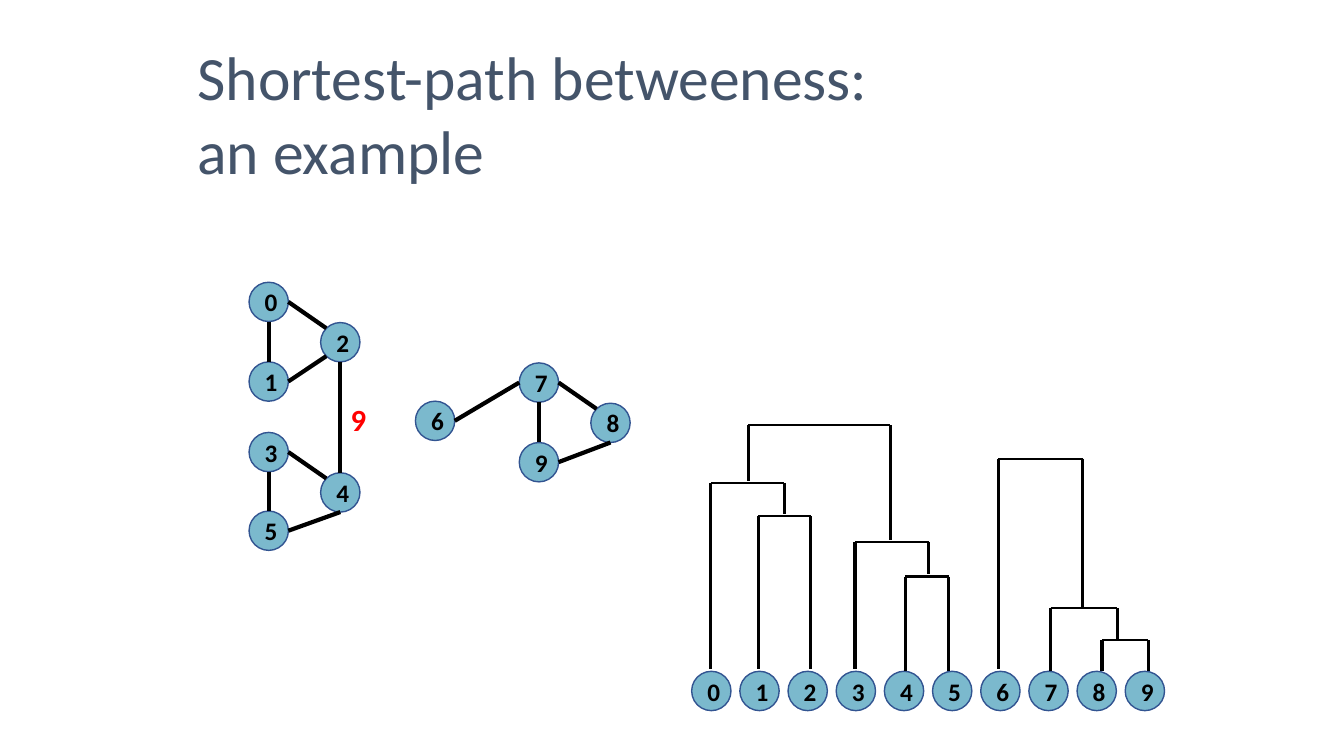
from lxml.etree import SubElement
from pptx import Presentation
from pptx.dml.color import RGBColor
from pptx.enum.shapes import MSO_CONNECTOR as CONNECTOR, MSO_SHAPE as SHAPE
from pptx.enum.text import MSO_ANCHOR as ANCHOR, PP_ALIGN as ALIGN
from pptx.oxml.ns import qn
from pptx.util import Inches, Pt

FONT = "Calibri"
BLACK = RGBColor(0x00, 0x00, 0x00)
RED = RGBColor(0xFF, 0x00, 0x00)
TITLE_COLOR = RGBColor(0x44, 0x54, 0x6A)
NODE_FILL = RGBColor(0x7B, 0xB9, 0xCD)
NODE_LINE = RGBColor(0x32, 0x54, 0x91)

NODE_SIZE = 0.39
DIAGONAL = 0.71
SIDES = {
    "top": (0, -1),
    "left": (-1, 0),
    "bottom": (0, 1),
    "right": (1, 0),
    "top left": (-DIAGONAL, -DIAGONAL),
    "bottom left": (-DIAGONAL, DIAGONAL),
}

GRAPH_NODES = {
    "0": (0, 0),
    "1": (0, 0.79),
    "2": (0.71, 0.4),
    "3": (0, 1.49),
    "4": (0.71, 1.89),
    "5": (0, 2.27),
    "6": (1.65, 1.18),
    "7": (2.68, 0.8),
    "8": (3.39, 1.2),
    "9": (2.68, 1.59),
}
GRAPH_EDGES = [
    ("0", "right", "2", "top left"),
    ("0", "bottom", "1", "top"),
    ("1", "right", "2", "bottom left"),
    ("2", "bottom", "4", "top"),
    ("3", "right", "4", "top left"),
    ("3", "bottom", "5", "top"),
    ("4", "bottom", "5", "right"),
    ("6", "right", "7", "left"),
    ("7", "right", "8", "top left"),
    ("7", "bottom", "9", "top"),
    ("8", "bottom", "9", "right"),
]

LEAF_TOP = 2.44
BRANCHES = [
    (0.56, 1.97, 0, 0.55, 1.14),
    (0.19, 0.92, 0.57, 2.42, 0.88),
    (0.66, 1.18, 0.9, 2.42, 2.42),
    (1.62, 2.35, 1.16, 2.42, 1.47),
    (2.12, 2.55, 1.5, LEAF_TOP, LEAF_TOP),
    (3.04, 3.88, 0.33, 2.42, 1.81),
    (3.56, 4.22, 1.81, LEAF_TOP, 2.13),
    (4.07, 4.53, 2.13, LEAF_TOP, LEAF_TOP),
]


def format_text(text_frame, size, color, bold=False):
    for paragraph in text_frame.paragraphs:
        for run in paragraph.runs:
            run.font.name = FONT
            run.font.size = Pt(size)
            run.font.bold = bold
            run.font.color.rgb = color


def add_text(slide, text, left, top, width, height, size, color, bold=False):
    box = slide.shapes.add_textbox(
        Inches(left), Inches(top), Inches(width), Inches(height))
    text_frame = box.text_frame
    text_frame.word_wrap = True
    text_frame.text = text
    format_text(text_frame, size, color, bold)
    return box


def add_line(slide, start, end, width):
    points = [Inches(value) for value in (*start, *end)]
    connector = slide.shapes.add_connector(CONNECTOR.STRAIGHT, *points)
    connector.line.color.rgb = BLACK
    connector.line.width = Pt(width)
    SubElement(connector._element.spPr, qn("a:effectLst"))


def add_node(slide, label, left, top):
    node = slide.shapes.add_shape(
        SHAPE.OVAL, Inches(left), Inches(top), Inches(NODE_SIZE), Inches(NODE_SIZE))
    node.shadow.inherit = False
    node.fill.solid()
    node.fill.fore_color.rgb = NODE_FILL
    node.line.color.rgb = NODE_LINE
    node.line.width = Pt(1)
    text_frame = node.text_frame
    text_frame.text = label
    text_frame.vertical_anchor = ANCHOR.MIDDLE
    text_frame.paragraphs[0].alignment = ALIGN.CENTER
    format_text(text_frame, 18, BLACK, True)


def add_title(slide, left, top, width, height):
    title = add_text(slide, "Shortest-path betweeness:\nan example",
                     left, top, width, height, 44, TITLE_COLOR)
    title.text_frame.vertical_anchor = ANCHOR.MIDDLE


def add_graph(slide, left, top):
    radius = NODE_SIZE / 2

    def node_point(label, side):
        x, y = GRAPH_NODES[label]
        across, down = SIDES[side]
        return left + x + radius * (1 + across), top + y + radius * (1 + down)

    for label, (x, y) in GRAPH_NODES.items():
        add_node(slide, label, left + x, top + y)
    for first, first_side, second, second_side in GRAPH_EDGES:
        add_line(slide, node_point(first, first_side),
                 node_point(second, second_side), 3)
    add_text(slide, "9", left + 0.91, top + 1.13, 0.59, 0.47, 22, RED, True)


def add_dendrogram(slide, left, top, width):
    pitch = (width - NODE_SIZE) / 9
    for index in range(10):
        add_node(slide, str(index), left + index * pitch, top + LEAF_TOP)
    for start, end, height, start_foot, end_foot in BRANCHES:
        y = top + height
        add_line(slide, (left + start, y), (left + end, y), 1.5)
        for x, foot in ((start, start_foot), (end, end_foot)):
            add_line(slide, (left + x, y), (left + x, top + foot), 2.25)


def main():
    presentation = Presentation()
    presentation.slide_width = Inches(13.33)
    presentation.slide_height = Inches(7.5)
    slide = presentation.slides.add_slide(presentation.slide_layouts[6])
    add_title(slide, 1.86, 0.3, 9.61, 1.64)
    add_graph(slide, 2.47, 2.8)
    add_dendrogram(slide, 6.86, 4.22, 4.69)
    presentation.save("out.pptx")


if __name__ == "__main__":
    main()
